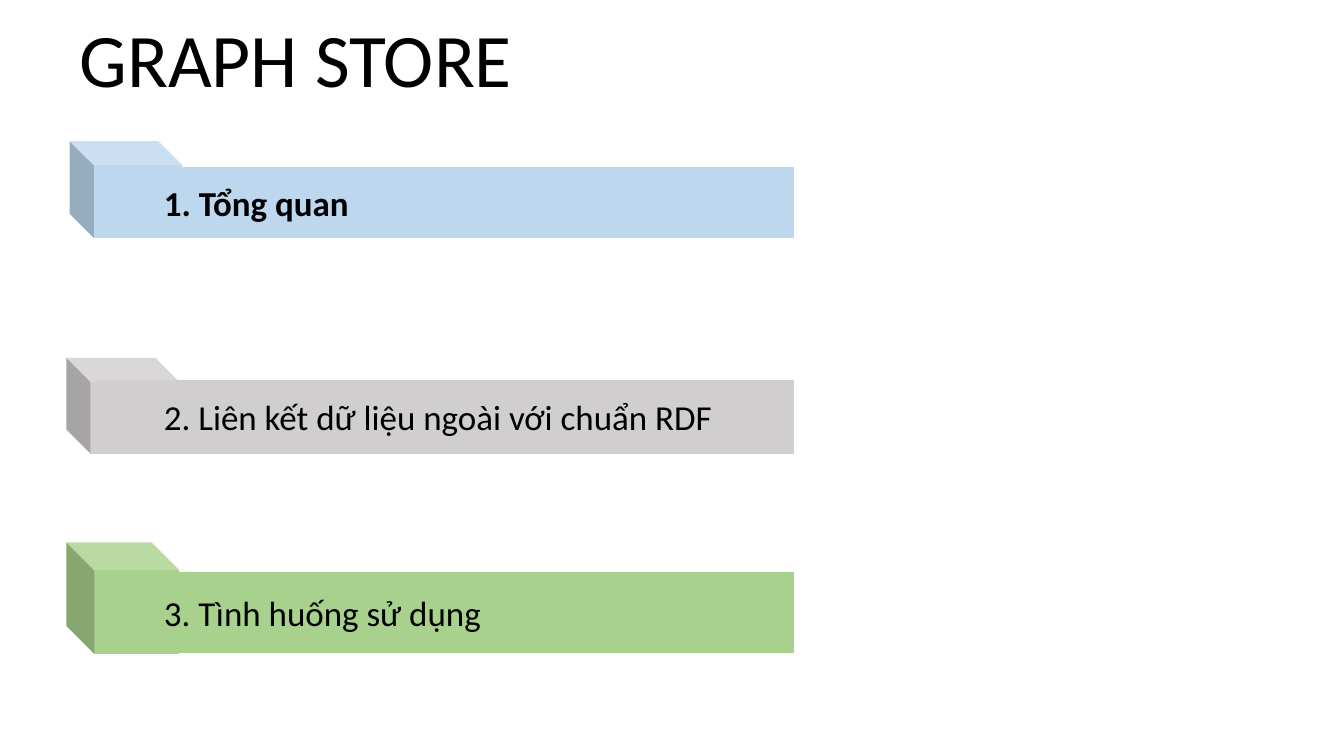
from pptx import Presentation
from pptx.dml.color import RGBColor
from pptx.enum.shapes import MSO_SHAPE as Shape
from pptx.enum.text import MSO_ANCHOR as Anchor, PP_ALIGN as Align
from pptx.util import Inches, Pt

TITLE = "GRAPH STORE"
SECTIONS = [
    {"label": "1. Tổng quan", "color": "BDD7EE", "bold": True,
     "cube": (0.69, 1.4, 0.96), "bar": (1.66, 0.7)},
    {"label": "2. Liên kết dữ liệu ngoài với chuẩn RDF", "color": "D0CECE", "bold": False,
     "cube": (0.66, 3.55, 0.95), "bar": (3.77, 0.73)},
    {"label": "3. Tình huống sử dụng", "color": "A9D18E", "bold": False,
     "cube": (0.66, 5.38, 1.11), "bar": (5.68, 0.8)},
]
CUBE_WIDTH = 1.12
BAR_LEFT, BAR_WIDTH = 0.95, 6.93


def rgb(color):
    return RGBColor.from_string(color)


def write(frame, text, anchor, size, bold=False, spacing=1.0):
    frame.word_wrap = True
    frame.vertical_anchor = anchor
    paragraph = frame.paragraphs[0]
    paragraph.alignment = Align.LEFT
    paragraph.line_spacing = spacing
    run = paragraph.add_run()
    run.text = text
    for name, value in {"name": "Calibri", "size": Pt(size), "bold": bold}.items():
        setattr(run.font, name, value)
    run.font.color.rgb = rgb("000000")


def add_block(slide, kind, box, color):
    block = slide.shapes.add_shape(kind, *map(Inches, box))
    block.shadow.inherit = False
    block.fill.solid()
    block.fill.fore_color.rgb = rgb(color)
    block.line.fill.background()
    return block


def add_section(slide, section):
    left, top, height = section["cube"]
    cube = add_block(slide, Shape.CUBE, (left, top, CUBE_WIDTH, height), section["color"])
    cube.element.spPr.xfrm.set("flipH", "1")

    top, height = section["bar"]
    bar = add_block(slide, Shape.PARALLELOGRAM, (BAR_LEFT, top, BAR_WIDTH, height),
                    section["color"])
    bar.adjustments[0] = 0
    write(bar.text_frame, section["label"], Anchor.MIDDLE, 25, section["bold"])


def main():
    deck = Presentation()
    deck.slide_width, deck.slide_height = Inches(13.33), Inches(7.5)
    slide = deck.slides.add_slide(deck.slide_layouts[6])
    title = slide.shapes.add_textbox(*map(Inches, (0.69, 0.25, 7.19, 0.83)))
    write(title.text_frame, TITLE, Anchor.BOTTOM, 54, spacing=0.9)
    for section in SECTIONS:
        add_section(slide, section)
    deck.save("out.pptx")


if __name__ == "__main__":
    main()
